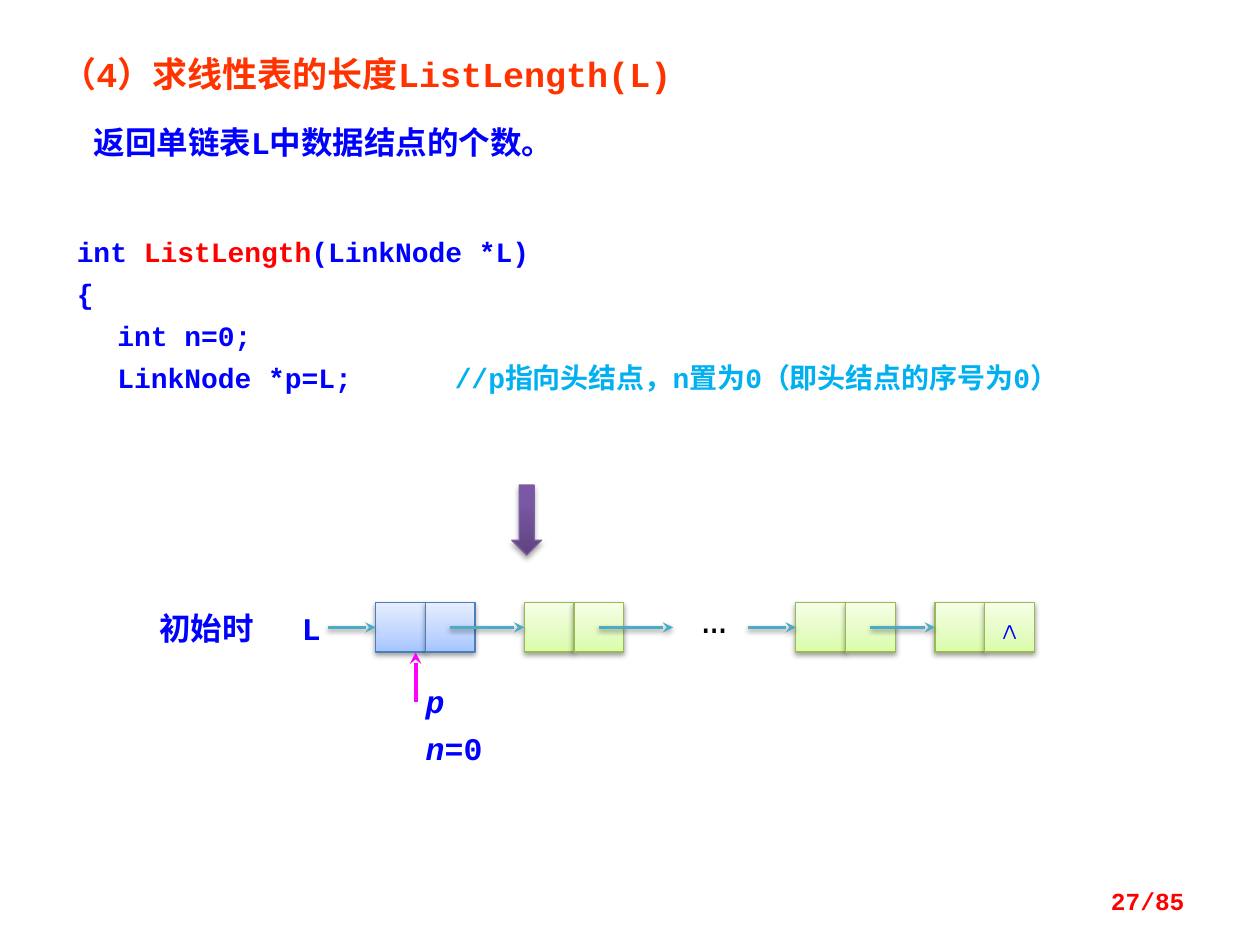
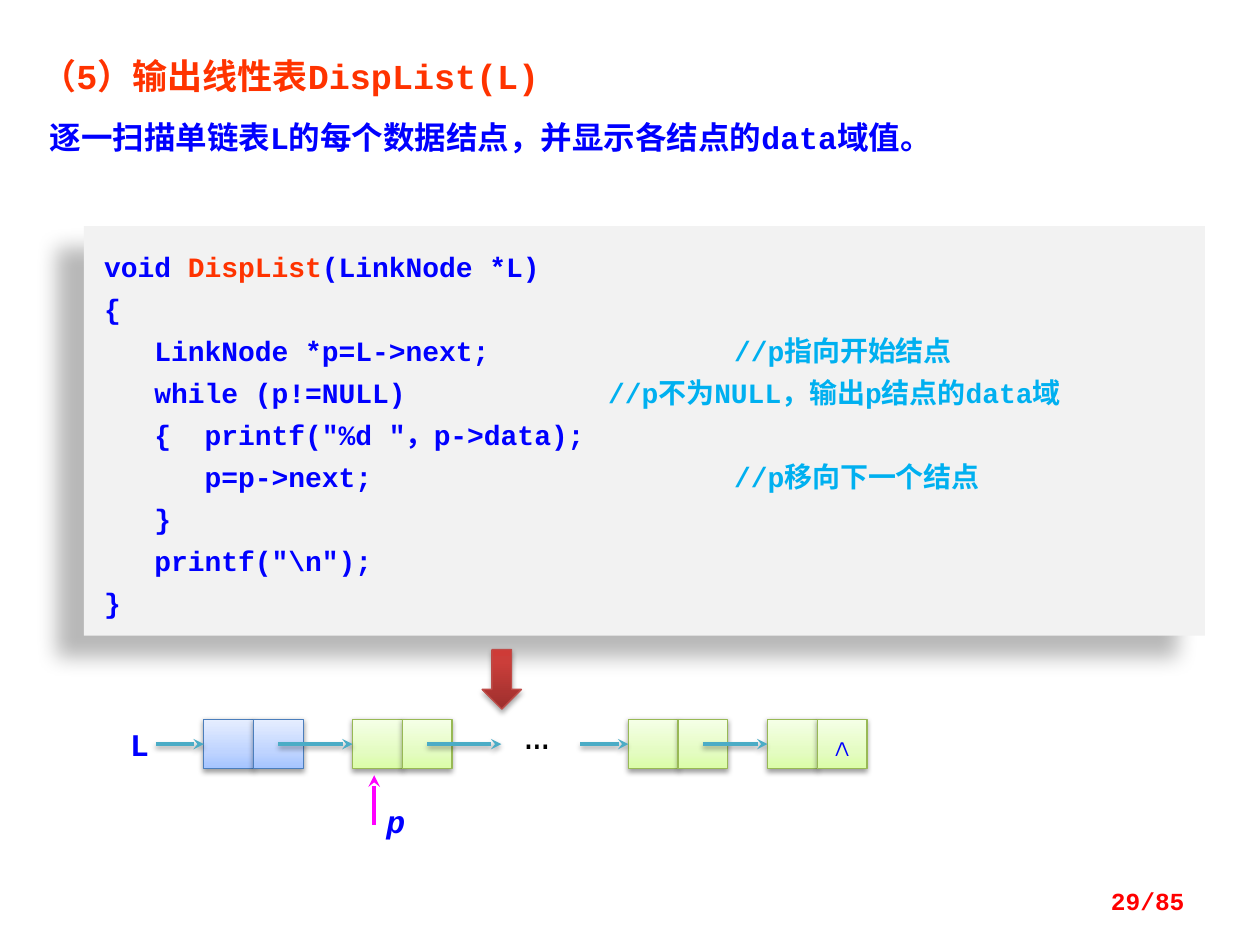
from dataclasses import dataclass
from typing import NamedTuple, Optional

from lxml.etree import SubElement
from pptx import Presentation
from pptx.dml.color import RGBColor
from pptx.enum.shapes import MSO_CONNECTOR, MSO_SHAPE
from pptx.enum.text import MSO_ANCHOR as Anchor, PP_ALIGN as Align
from pptx.oxml.ns import qn
from pptx.util import Pt


class Shadow(NamedTuple):
    opacity: int
    blur: float
    distance: float
    direction: int


class Gradient(NamedTuple):
    """Colour stops from bottom to top, and the outline that goes with them."""
    stops: tuple[tuple[int, str], ...]
    outline: str


@dataclass(frozen=True)
class Theme:
    font: str = "Courier New"
    heading: str = "FF3300"
    text: str = "0000FF"
    alert: str = "FF0000"
    comment: str = "00B0F0"
    ellipsis: str = "000000"
    link: str = "4BACC6"
    pointer: str = "FF00FF"
    plain_panel: str = "FFFFFF"
    grey_panel: str = "F2F2F2"
    heading_size: int = 20
    body_size: int = 18
    code_size: int = 16
    page_size: int = 14
    ellipsis_size: int = 24
    head_node: Gradient = Gradient(((0, "A4C4FF"), (35, "BFD4FF"), (100, "E6EEFF")), "4B7EBC")
    data_node: Gradient = Gradient(((0, "DAFDA7"), (35, "E4FCC2"), (100, "F5FFE7")), "98B955")
    purple: Gradient = Gradient(((0, "5F4480"), (80, "7B58A6"), (100, "7C57A8")), "7D60A0")
    red: Gradient = Gradient(((0, "9C2F2D"), (80, "CB3E3A"), (100, "CE3B37")), "BF4C48")
    node_shadow: Shadow = Shadow(38, 3.1, 1.6, 90)
    step_shadow: Shadow = Shadow(35, 3.1, 1.8, 90)
    panel_shadow: Shadow = Shadow(28, 11.8, 19.7, 141)


THEME = Theme()
CELL = 28.4
TAB_WIDTH = 72
TAB_COUNT = 7


class Box(NamedTuple):
    left: float
    top: float
    width: float
    height: float

    def points(self) -> list:
        return [Pt(length) for length in self]


class Span(NamedTuple):
    text: str
    color: str = THEME.text
    size: float = THEME.body_size
    bold: bool = True
    italic: bool = False


class Line(NamedTuple):
    spans: list[Span]
    spacing: Optional[float] = None
    before: float = 0
    indent: float = 0
    align: Align = Align.LEFT


class Chain(NamedTuple):
    """A linked list; tail and ellipsis are measured from the head node."""
    left: float
    top: float
    tail: float
    ellipsis: float


def add_tab_stops(paragraph) -> None:
    tabs = SubElement(paragraph._p.get_or_add_pPr(), qn("a:tabLst"))
    for number in range(1, TAB_COUNT + 1):
        SubElement(tabs, qn("a:tab"), pos=str(Pt(TAB_WIDTH * number)), algn="l")


def write(frame, lines: list[Line]) -> None:
    for index, line in enumerate(lines):
        paragraph = frame.add_paragraph() if index else frame.paragraphs[0]
        paragraph.alignment = line.align
        if line.indent:
            paragraph._p.get_or_add_pPr().set("marL", str(Pt(line.indent)))
        if line.spacing:
            paragraph.line_spacing = Pt(line.spacing)
        if line.before:
            paragraph.space_before = Pt(line.before)
        if any("\t" in span.text for span in line.spans):
            add_tab_stops(paragraph)
        for span in line.spans:
            run = paragraph.add_run()
            run.text = span.text
            font = run.font
            font.name, font.size = THEME.font, Pt(span.size)
            font.bold, font.italic = span.bold, span.italic
            font.color.rgb = RGBColor.from_string(span.color)


def add_text(slide, box: Box, lines: list[Line], anchor: Anchor = Anchor.TOP) -> None:
    frame = slide.shapes.add_textbox(*box.points()).text_frame
    frame.word_wrap = True
    frame.vertical_anchor = anchor
    write(frame, lines)


def set_shadow(shape, shadow: Optional[Shadow]) -> None:
    """Replace the theme's shadow; call once fill and line are set."""
    effects = SubElement(shape._element.spPr, qn("a:effectLst"))
    if shadow:
        outer = SubElement(effects, qn("a:outerShdw"), blurRad=str(Pt(shadow.blur)),
                           dist=str(Pt(shadow.distance)), dir=str(shadow.direction * 60000),
                           algn="ctr", rotWithShape="0")
        color = SubElement(outer, qn("a:srgbClr"), val="000000")
        SubElement(color, qn("a:alpha"), val=str(shadow.opacity * 1000))


def add_gradient_shape(slide, kind: MSO_SHAPE, box: Box, gradient: Gradient, shadow: Shadow):
    shape = slide.shapes.add_shape(kind, *box.points())
    shape.fill.gradient()
    shape.fill.gradient_angle = 90
    stop_list = shape._element.spPr.find(".//" + qn("a:gsLst"))
    for old_stop in list(stop_list):
        stop_list.remove(old_stop)
    for position, color in gradient.stops:
        stop = SubElement(stop_list, qn("a:gs"), pos=str(position * 1000))
        SubElement(stop, qn("a:srgbClr"), val=color)
    shape.line.color.rgb = RGBColor.from_string(gradient.outline)
    shape.line.width = Pt(0.75)
    set_shadow(shape, shadow)
    return shape


def add_arrow(slide, start: tuple[float, float], end: tuple[float, float], color: str,
              width: float, shadow: Optional[Shadow] = None, target=None) -> None:
    """Draw an arrow, joined to the left side of target if there is one."""
    arrow = slide.shapes.add_connector(MSO_CONNECTOR.STRAIGHT, *map(Pt, start + end))
    if target is not None:
        arrow.end_connect(target, 1)
    arrow.line.color.rgb = RGBColor.from_string(color)
    arrow.line.width = Pt(width)
    SubElement(arrow.line._get_or_add_ln(), qn("a:tailEnd"), type="stealth")
    set_shadow(arrow, shadow)


def add_node(slide, left: float, top: float, gradient: Gradient) -> list:
    """Draw the data and next cells of a node."""
    return [add_gradient_shape(slide, MSO_SHAPE.RECTANGLE, Box(left + i * CELL, top, CELL, CELL),
                               gradient, THEME.node_shadow) for i in range(2)]


def add_chain(slide, chain: Chain) -> None:
    left, top = chain.left, chain.top
    middle = top + CELL / 2
    first, tail = left + 85, left + chain.tail
    last = tail + 79.5
    head_data, _ = add_node(slide, left, top, THEME.head_node)
    first_data, _ = add_node(slide, first, top, THEME.data_node)
    tail_data, _ = add_node(slide, tail, top, THEME.data_node)
    last_data, last_next = add_node(slide, last, top, THEME.data_node)

    null_frame = last_next.text_frame
    null_frame.word_wrap = False
    null_frame.vertical_anchor = Anchor.MIDDLE
    write(null_frame, [Line([Span("∧")], align=Align.CENTER)])

    for start, end, target in (
        (left - 27.4, left, head_data),
        (left + 1.5 * CELL, first, first_data),
        (first + 1.5 * CELL, first + 85, None),
        (tail - 27.4, tail, tail_data),
        (tail + 1.5 * CELL, last, last_data),
    ):
        add_arrow(slide, (start, middle), (end, middle), THEME.link, 2, THEME.node_shadow, target)

    add_text(slide, Box(left - 49.2, top, 21, 29), [Line([Span("L")])])
    add_text(slide, Box(left + chain.ellipsis, top - 10, 57, 36),
             [Line([Span("…", THEME.ellipsis, THEME.ellipsis_size, bold=False)])])


def add_pointer(slide, x: float, bottom: float) -> None:
    add_arrow(slide, (x, bottom), (x, bottom - 28.4), THEME.pointer, 2.25)


def add_step(slide, box: Box, gradient: Gradient) -> None:
    add_gradient_shape(slide, MSO_SHAPE.DOWN_ARROW, box, gradient, THEME.step_shadow)


def add_heading(slide, box: Box, title: str, summary: str, indents: tuple[float, float],
                gap: float, spacing: Optional[float] = None) -> None:
    add_text(slide, box, [
        Line([Span(title, THEME.heading, THEME.heading_size)], spacing, 0, indents[0]),
        Line([Span(summary)], spacing, gap, indents[1]),
    ])


def add_code(slide, box: Box, inset: tuple[float, float], fill: str, name_color: str,
             signature: tuple[str, str, str], body: list[tuple[str, str]],
             shadow: Optional[Shadow] = None) -> None:
    """Draw a listing: a signature with its name marked, then code with comments."""
    panel = slide.shapes.add_shape(MSO_SHAPE.RECTANGLE, *box.points())
    panel.fill.solid()
    panel.fill.fore_color.rgb = RGBColor.from_string(fill)
    panel.line.fill.background()
    set_shadow(panel, shadow)
    frame = panel.text_frame
    frame.word_wrap = True
    frame.vertical_anchor = Anchor.TOP
    frame.margin_left = frame.margin_right = Pt(inset[0])
    frame.margin_top = frame.margin_bottom = Pt(inset[1])
    rows = [zip(signature, (THEME.text, name_color, THEME.text))]
    rows += [zip(parts, (THEME.text, THEME.comment)) for parts in body]
    write(frame, [Line([Span(text, color, THEME.code_size) for text, color in row if text], 24)
                  for row in rows])


def add_page_number(slide, number: int) -> None:
    add_text(slide, Box(516, 500, 168, 29),
             [Line([Span(f"{number}/85", THEME.alert, THEME.page_size)], align=Align.RIGHT)],
             Anchor.MIDDLE)


def build_length_slide(slide) -> None:
    add_heading(slide, Box(28, 22.5, 612, 76), "（4）求线性表的长度ListLength(L)",
                "返回单链表L中数据结点的个数。", (0, 18.4), 10, 28)
    add_code(slide, Box(36.8, 115, 616, 148), (7.2, 14.4), THEME.plain_panel, THEME.alert,
             ("int ", "ListLength", "(LinkNode *L)"), [
                 ("{", ""),
                 ("  　int n=0;", ""),
                 ("　  LinkNode *p=L;\t", "//p指向头结点，n置为0（即头结点的序号为0）"),
             ])
    add_text(slide, Box(84, 344.2, 79, 29), [Line([Span("初始时")])])
    add_chain(slide, Chain(214.6, 344.3, 240.2, 179.3))
    add_text(slide, Box(236.2, 389.8, 66, 55), [
        Line([Span("p", italic=True)], 18),
        Line([Span("n", italic=True), Span("=0")], 18, 9),
    ])
    add_pointer(slide, 237.5, 401.2)
    add_step(slide, Box(292.5, 277.2, 17, 40), THEME.purple)
    add_page_number(slide, 27)


def build_display_slide(slide) -> None:
    add_heading(slide, Box(12.2, 27.6, 666, 68), "（5）输出线性表DispList(L)",
                "逐一扫描单链表L的每个数据结点，并显示各结点的data域值。", (4.4, 9), 12)
    add_code(slide, Box(48, 129.2, 640.5, 234), (11.5, 8.4), THEME.grey_panel, THEME.heading,
             ("void ", "DispList", "(LinkNode *L)"), [
                 ("{", ""),
                 ("   LinkNode *p=L->next;\t\t", "//p指向开始结点"),
                 ("   while (p!=NULL)\t\t", "//p不为NULL，输出p结点的data域"),
                 ("   {  printf(\"%d \"，p->data);", ""),
                 ("      p=p->next;\t\t\t", "//p移向下一个结点"),
                 ("   }", ""),
                 ("   printf(\"\\n\");", ""),
                 ("}", ""),
             ], THEME.panel_shadow)
    add_chain(slide, Chain(116.5, 411, 242.6, 176))
    add_text(slide, Box(213.8, 455, 30, 29), [Line([Span("p", italic=True)])])
    add_pointer(slide, 213.8, 471.4)
    add_step(slide, Box(275.5, 371.2, 22.5, 34), THEME.red)
    add_page_number(slide, 29)


def main() -> None:
    presentation = Presentation()
    presentation.slide_width, presentation.slide_height = Pt(720), Pt(540)
    blank = presentation.slide_layouts[6]
    for build in (build_length_slide, build_display_slide):
        build(presentation.slides.add_slide(blank))
    presentation.save("out.pptx")


if __name__ == "__main__":
    main()
